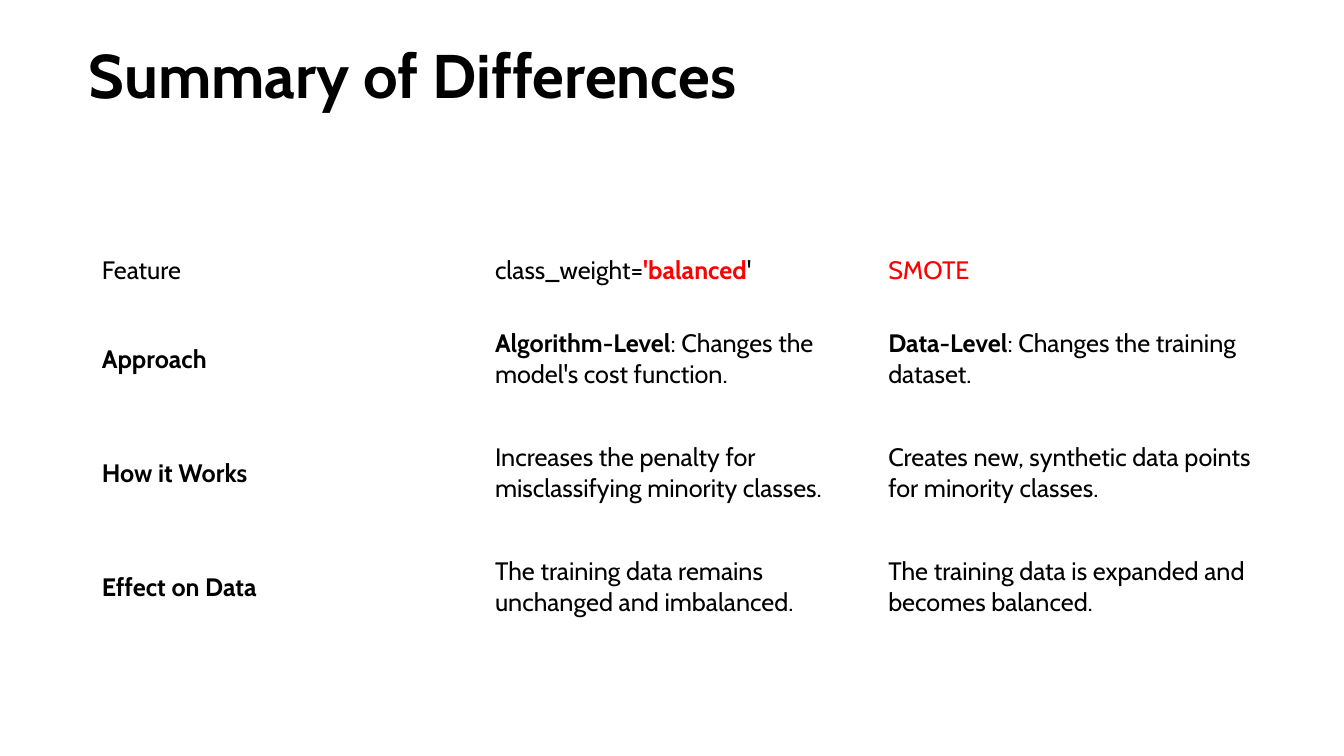
from pptx import Presentation
from pptx import util as u
from pptx.dml import color
from pptx.enum import text

BLACK, RED = "000000", "FF0000"


def rgb(hex_string):
    return color.RGBColor.from_string(hex_string)


class SlideBuilder:
    """Holds the style and the current slide."""
    font = "Cabin"
    title_size = 44
    body_size = 18

    def __init__(self, presentation):
        title_only = presentation.slide_layouts[5]
        self.slide = presentation.slides.add_slide(title_only)
        self.slide.background.fill.solid()
        self.slide.background.fill.fore_color.rgb = rgb("FFFFFF")

    def add_run(self, paragraph, content, size, bold=False, hue=BLACK):
        run = paragraph.add_run()
        run.text = content
        run.font.name = self.font
        run.font.size = u.Pt(size)
        run.font.bold = bold
        run.font.color.rgb = rgb(hue)

    def title(self, content, left, top, width, height):
        shape = self.slide.shapes.title
        shape.left, shape.top = u.Inches(left), u.Inches(top)
        shape.width, shape.height = u.Inches(width), u.Inches(height)
        frame = shape.text_frame
        frame.word_wrap = True
        frame.auto_size = text.MSO_AUTO_SIZE.NONE
        frame.vertical_anchor = text.MSO_ANCHOR.TOP
        paragraph = frame.paragraphs[0]
        paragraph.alignment = text.PP_ALIGN.LEFT
        paragraph.line_spacing = 0.9
        self.add_run(paragraph, content, self.title_size, bold=True)

    def table(self, rows, left, top, column_width, row_heights):
        columns = len(rows[0])
        frame = self.slide.shapes.add_table(
            len(rows), columns, u.Inches(left), u.Inches(top),
            u.Inches(column_width * columns), u.Inches(sum(row_heights)))
        table = frame.table
        table.first_row = table.horz_banding = False
        for column in table.columns:
            column.width = u.Inches(column_width)
        for row, height, cells in zip(table.rows, row_heights, rows):
            row.height = u.Inches(height)
            for cell, runs in zip(row.cells, cells):
                cell.fill.background()
                cell.vertical_anchor = text.MSO_ANCHOR.MIDDLE
                for run in runs:
                    self.add_run(cell.text_frame.paragraphs[0], run[0],
                                 self.body_size, *run[1:])


# Each cell is a list of runs: (text, bold, colour)
COMPARISON = [
    [[("Feature",)],
     [("class_weight=",), ("'balanced", True, RED), ("'",)],
     [("SMOTE", False, RED)]],
    [[("Approach", True)],
     [("Algorithm-Level", True), (": Changes the model's cost function.",)],
     [("Data-Level", True), (": Changes the training dataset.",)]],
    [[("How it Works", True)],
     [("Increases the penalty for misclassifying minority classes.",)],
     [("Creates new, synthetic data points for minority classes.",)]],
    [[("Effect on Data", True)],
     [("The training data remains unchanged and imbalanced.",)],
     [("The training data is expanded and becomes balanced.",)]],
]


def main():
    presentation = Presentation()
    presentation.slide_width = u.Inches(13.33)
    presentation.slide_height = u.Inches(7.5)
    builder = SlideBuilder(presentation)

    # Heading
    builder.title("Summary of Differences", 0.78, 0.4, 11.5, 1.45)

    # Comparison table
    builder.table(COMPARISON, 0.91, 2.36, 3.9, [0.64] + [1.13] * 3)

    presentation.save("out.pptx")


if __name__ == "__main__":
    main()
